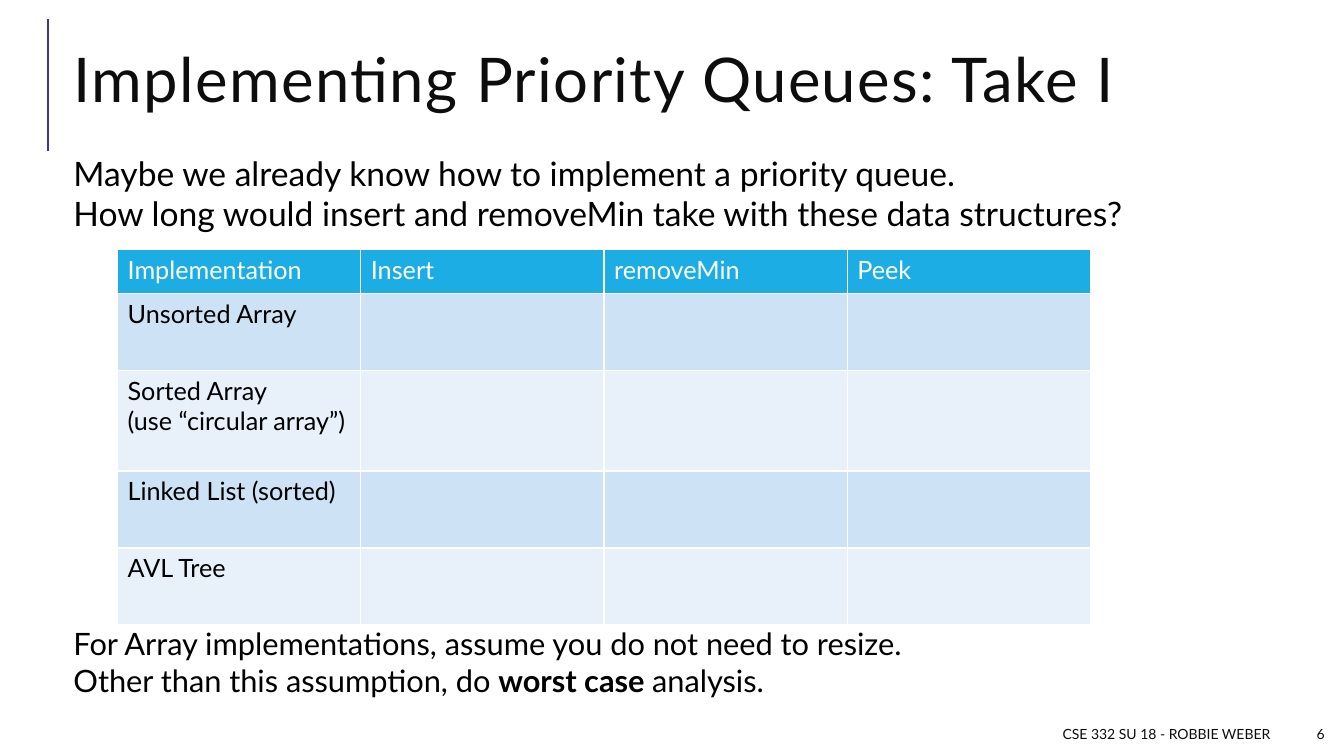
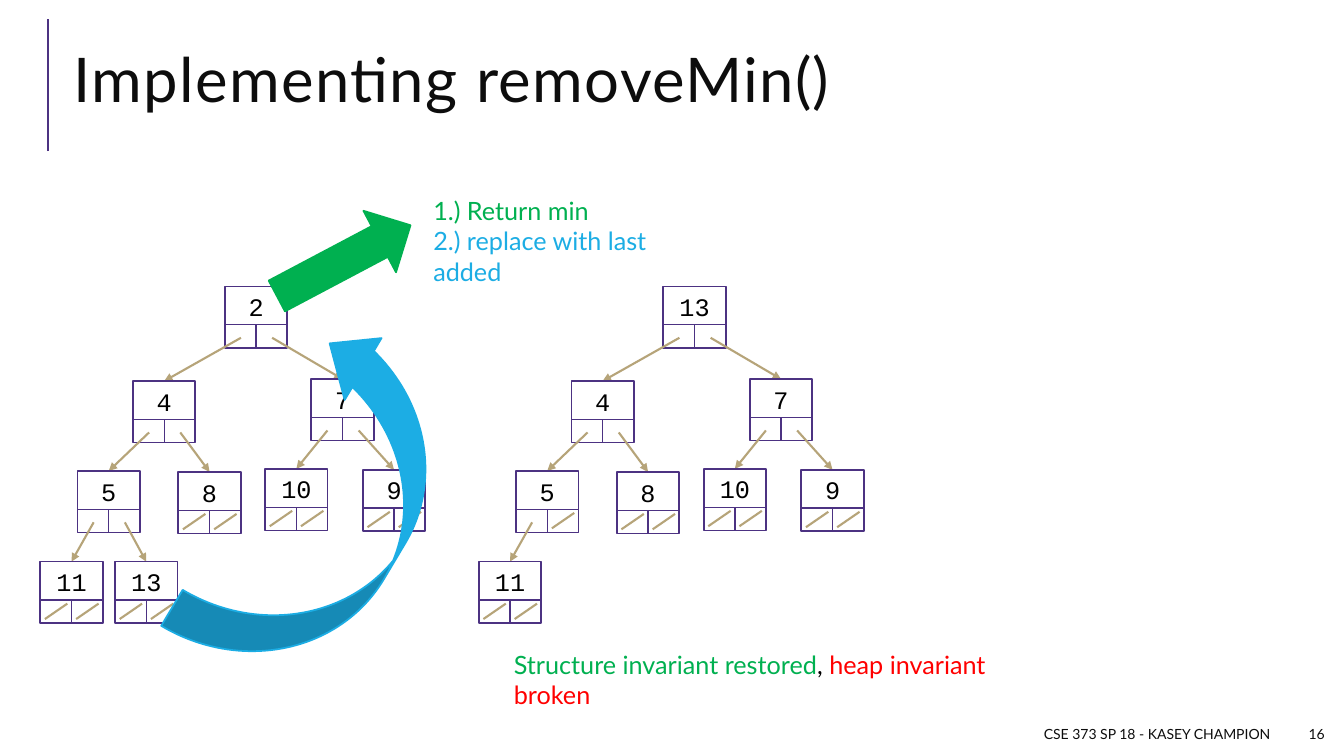
from dataclasses import dataclass

from lxml import etree
from pptx import Presentation
from pptx.dml.color import RGBColor
from pptx.enum.shapes import MSO_CONNECTOR, MSO_SHAPE
from pptx.enum.text import MSO_ANCHOR, PP_ALIGN
from pptx.oxml.ns import qn
from pptx.util import Pt

STRAIGHT = MSO_CONNECTOR.STRAIGHT
RECTANGLE = MSO_SHAPE.RECTANGLE
BLOCK_ARROW = MSO_SHAPE.RIGHT_ARROW
CURVED_ARROW = MSO_SHAPE.CURVED_RIGHT_ARROW
TOP, MIDDLE = MSO_ANCHOR.TOP, MSO_ANCHOR.MIDDLE
LEFT, CENTER, RIGHT = PP_ALIGN.LEFT, PP_ALIGN.CENTER, PP_ALIGN.RIGHT


@dataclass(frozen=True)
class Theme:
    font: str = "Lato"
    code_font: str = "Courier New"
    title_size: float = 44
    lead_size: float = 24
    note_size: float = 22
    label_size: float = 18
    footer_size: float = 10
    ink: RGBColor = RGBColor(0x0D, 0x0D, 0x0D)
    black: RGBColor = RGBColor(0, 0, 0)
    white: RGBColor = RGBColor(0xFF, 0xFF, 0xFF)
    purple: RGBColor = RGBColor(0x4C, 0x32, 0x82)
    tan: RGBColor = RGBColor(0xB6, 0xA4, 0x79)
    blue: RGBColor = RGBColor(0x1C, 0xAD, 0xE4)
    band_dark: RGBColor = RGBColor(0xCD, 0xE3, 0xF5)
    band_light: RGBColor = RGBColor(0xE8, 0xF1, 0xFA)
    green: RGBColor = RGBColor(0x00, 0xB0, 0x50)
    red: RGBColor = RGBColor(0xFF, 0, 0)


THEME = Theme()
SLIDE_W, SLIDE_H = 960, 540
NODE_W, NODE_H, NODE_SPLIT = 44.6, 44, 27.4

# Heap slots in level order: left and top inside the tree's box
HEAP_SLOTS = [
    (131.8, 0),
    (66.2, 67.6), (193.6, 66.2),
    (26.6, 131.8), (98.6, 132.5), (160.6, 130.3), (230.4, 131),
    (0, 196.6), (53.4, 196.6),
]


# ---- Basic parts ----
def style_run(run, size, color, font=THEME.font, bold=False):
    run.font.size = Pt(size)
    run.font.name = font
    run.font.color.rgb = color
    run.font.bold = bold


def add_text(slide, box, lines, size, color=THEME.black, align=LEFT, anchor=TOP):
    """Each line is a list of (text, format overrides) runs."""
    frame = slide.shapes.add_textbox(*map(Pt, box)).text_frame
    frame.word_wrap = True
    frame.vertical_anchor = anchor
    for index, line in enumerate(lines):
        paragraph = frame.add_paragraph() if index else frame.paragraphs[0]
        paragraph.alignment = align
        for text, overrides in line:
            run = paragraph.add_run()
            run.text = text
            style_run(run, size, **{"color": color, **overrides})
    return frame


def add_line(slide, start, end, color, width, arrow=False):
    line = slide.shapes.add_connector(STRAIGHT, *map(Pt, (*start, *end)))
    line.line.color.rgb = color
    line.line.width = Pt(width)
    if arrow:
        etree.SubElement(line.line._get_or_add_ln(), qn("a:tailEnd"), type="triangle")
    etree.SubElement(line._element.spPr, qn("a:effectLst"))


def add_block_arrow(slide, preset, box, rotation, color):
    arrow = slide.shapes.add_shape(preset, *map(Pt, box))
    arrow.rotation = rotation
    arrow.shadow.inherit = False
    arrow.fill.solid()
    arrow.fill.fore_color.rgb = color
    arrow.line.color.rgb = color
    arrow.line.width = Pt(1.25)
    return arrow


# ---- Frame shared by the slides ----
def add_framed_slide(deck, title, footer, number):
    slide = deck.slides.add_slide(deck.slide_layouts[6])
    add_line(slide, (34, 108), (34, 13.7), THEME.purple, 1.5)

    heading = add_text(slide, (45.4, 20.9, 880.6, 79.9), [[(title, {})]],
                       THEME.title_size, THEME.ink, anchor=MIDDLE).paragraphs[0]
    heading.line_spacing = 0.8
    heading.runs[0]._r.get_or_add_rPr().set("spc", "100")

    for left, width, text in ((450, 464.4, footer), (920.2, 33.1, number)):
        add_text(slide, (left, 513.4, width, 21.6), [[(text, {})]],
                 THEME.footer_size, THEME.ink, RIGHT, MIDDLE)
    return slide


# ---- Comparison table ----
def style_cell(cell, text, fill, color):
    properties = cell._tc.get_or_add_tcPr()
    for side in ("a:lnL", "a:lnR", "a:lnT", "a:lnB"):
        border = etree.SubElement(properties, qn(side), w=str(Pt(1)))
        paint = etree.SubElement(border, qn("a:solidFill"))
        etree.SubElement(paint, qn("a:srgbClr"), val=str(THEME.white))
    cell.fill.solid()
    cell.fill.fore_color.rgb = fill
    paragraph = cell.text_frame.paragraphs[0]
    paragraph.text = text
    paragraph.font.size = Pt(THEME.label_size)
    for run in paragraph.runs:
        style_run(run, THEME.label_size, color)


def add_comparison_table(slide, box, headers, structures, row_heights):
    table = slide.shapes.add_table(len(row_heights), len(headers), *map(Pt, box)).table
    table.horz_banding = False
    for column in table.columns:
        column.width = Pt(box[2] / len(headers))
    for row, height in zip(table.rows, row_heights):
        row.height = Pt(height)

    for column, header in enumerate(headers):
        style_cell(table.cell(0, column), header, THEME.blue, THEME.white)
        for row, structure in enumerate(structures, 1):
            band = THEME.band_dark if row % 2 else THEME.band_light
            style_cell(table.cell(row, column), "" if column else structure,
                       band, THEME.black)


# ---- Binary heap ----
def add_heap_node(slide, left, top, value):
    node = slide.shapes.add_shape(RECTANGLE, *map(Pt, (left, top, NODE_W, NODE_H)))
    node.shadow.inherit = False
    node.fill.background()
    node.line.color.rgb = THEME.purple
    node.line.width = Pt(1.25)
    frame = node.text_frame
    frame.text = str(value)
    frame.margin_left = frame.margin_right = 0
    frame.vertical_anchor = TOP
    frame.paragraphs[0].alignment = CENTER
    style_run(frame.paragraphs[0].runs[0], THEME.label_size, THEME.black,
              THEME.code_font)

    # Value compartment above, two child pointers below
    split, middle = top + NODE_SPLIT, left + NODE_W / 2
    add_line(slide, (left, split), (left + NODE_W, split), THEME.purple, 1)
    add_line(slide, (middle, top + NODE_H), (middle, split), THEME.purple, 1)


def add_heap(slide, left, top, values):
    spots = [(left + x, top + y) for x, y in HEAP_SLOTS[:len(values)]]
    for index, ((x, y), value) in enumerate(zip(spots, values)):
        add_heap_node(slide, x, y, value)
        for side in (0, 1):
            child = 2 * index + 1 + side
            shift = side * NODE_W / 2
            if child < len(spots):
                child_x, child_y = spots[child]
                add_line(slide, (x + 11.5 + shift, y + 36.7),
                         (child_x + NODE_W / 2, child_y), THEME.tan, 1.5, arrow=True)
            else:  # null pointer stroke
                add_line(slide, (x + 19.3 + shift, y + 30), (x + 3.3 + shift, y + 41),
                         THEME.tan, 1.5)


# ---- Slides ----
def build_implementations_slide(deck):
    slide = add_framed_slide(deck, "Implementing Priority Queues: Take I",
                             "CSE 332 SU 18 - ROBBIE WEBER", "6")
    add_comparison_table(
        slide, (84, 178, 695, 264.5),
        ["Implementation", "Insert", "removeMin", "Peek"],
        ["Unsorted Array", "Sorted Array \n(use “circular array”)",
         "Linked List (sorted)", "AVL Tree"],
        [31.5, 55, 72, 55, 55])
    add_text(slide, (45.4, 105.8, 859, 65.5), [
        [("Maybe we already know how to implement a priority queue.", {})],
        [("How long would insert and removeMin take with these data structures?", {})],
    ], THEME.lead_size)
    add_text(slide, (45.4, 442.8, 857.5, 60.5), [
        [("For Array implementations, assume you do not need to resize.", {})],
        [("Other than this assumption, do ", {}), ("worst case ", {"bold": True}),
         ("analysis.", {})],
    ], THEME.note_size)


def build_remove_min_slide(deck):
    slide = add_framed_slide(deck, "Implementing removeMin()",
                             "CSE 373 SP 18 - KASEY CHAMPION", "16")
    # Before: the minimum leaves and the last value moves up
    add_heap(slide, 28.8, 204.6, [2, 4, 7, 5, 8, 10, 9, 11, 13])
    replace_arrow = add_block_arrow(slide, CURVED_ARROW, (173.5, 235.4, 119.5, 260.6),
                                    210.8, THEME.blue)
    replace_arrow.adjustments[1] = 0.43
    add_block_arrow(slide, BLOCK_ARROW, (191.5, 161.3, 108, 49.7), 332.1, THEME.green)

    # After: the last value sits at the root
    add_heap(slide, 342, 204.6, [13, 4, 7, 5, 8, 10, 9, 11])
    add_text(slide, (360, 460, 404, 28.8), [
        [("Structure invariant restored", {"color": THEME.green}), (", ", {}),
         ("heap invariant broken", {"color": THEME.red})],
    ], THEME.label_size)
    add_text(slide, (302.4, 136, 214.5, 51), [
        [("1.) Return min", {"color": THEME.green})],
        [("2.) replace with last added", {"color": THEME.blue})],
    ], THEME.label_size)


def main():
    deck = Presentation()
    deck.slide_width, deck.slide_height = Pt(SLIDE_W), Pt(SLIDE_H)
    build_implementations_slide(deck)
    build_remove_min_slide(deck)
    deck.save("out.pptx")


if __name__ == "__main__":
    main()
